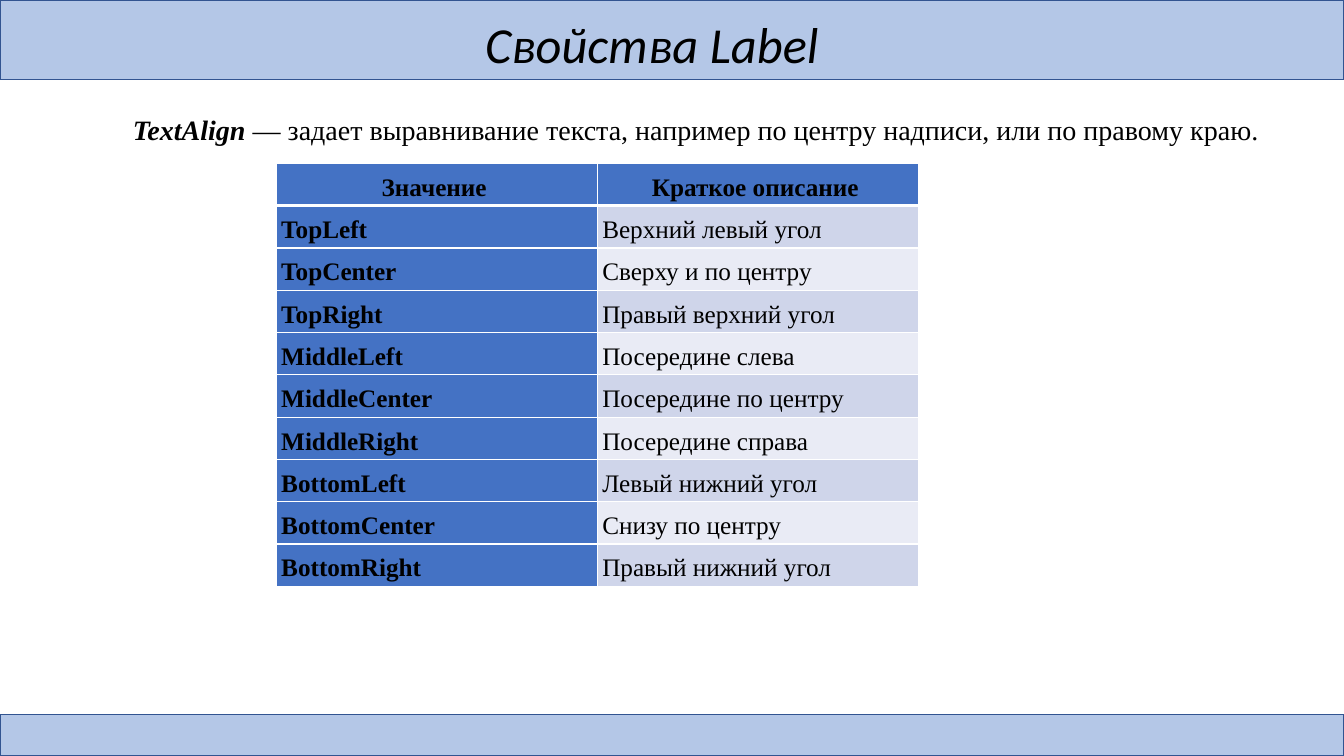
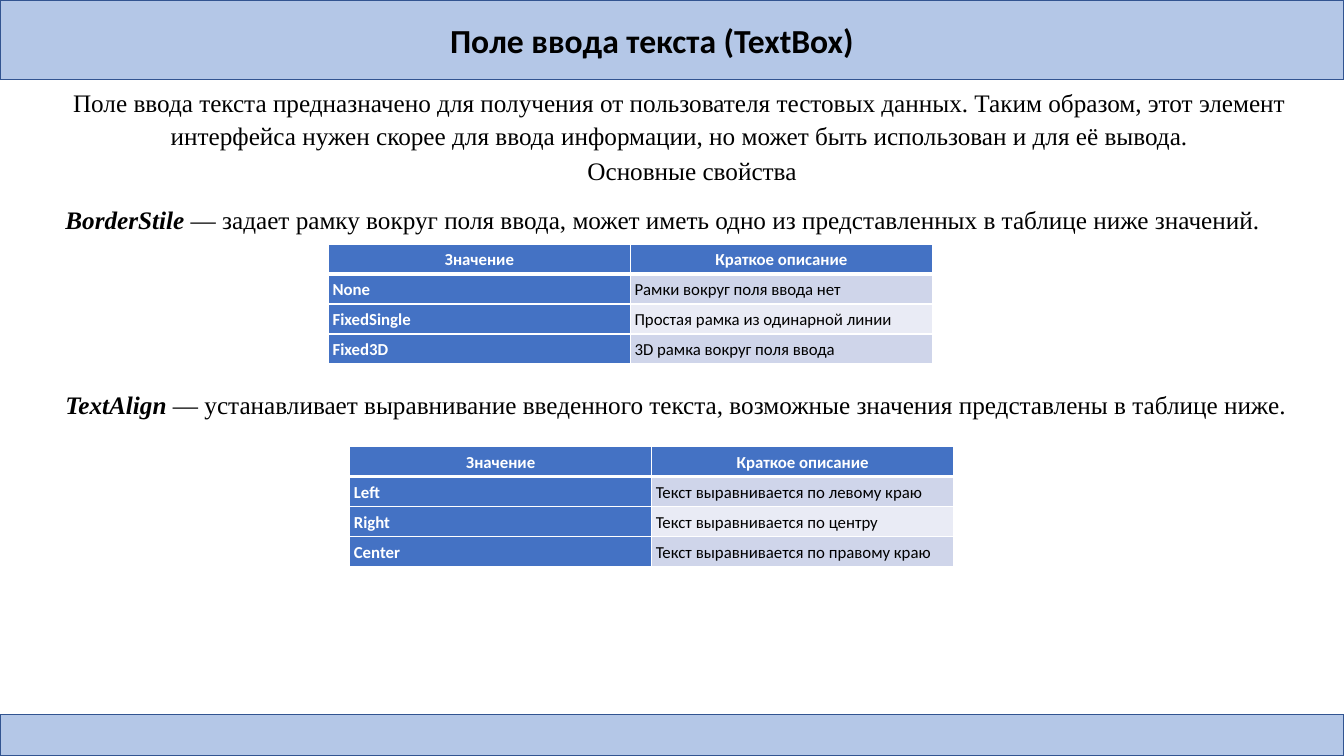
from dataclasses import dataclass

from lxml import etree
from pptx import Presentation
from pptx import util as u
from pptx.dml.color import RGBColor
from pptx.enum import shapes, text
from pptx.oxml import ns


@dataclass(frozen=True)
class Theme:
    # Colours
    band: str = "B4C7E7"
    band_line: str = "325491"
    header: str = "4472C4"
    stripes: tuple = ("CFD5EA", "E9EBF5")
    ink: str = "000000"
    paper: str = "FFFFFF"
    # Fonts and type sizes in points
    sans: str = "Calibri"
    serif: str = "Times New Roman"
    lead: int = 20
    body: int = 18
    small: int = 12
    # Line spacing, and cell insets in inches
    leading: float = 1.07
    wide_insets: tuple = (0.05, 0.04, 0.1, 0.04)
    tight_insets: tuple = (0.04, 0.04, 0.04, 0.04)


CENTER = text.PP_ALIGN.CENTER
LEFT = text.PP_ALIGN.LEFT


class Deck:
    """Places elements on the current slide; lengths are percent of its size."""

    def __init__(self, theme):
        self.theme = theme
        self.prs = Presentation()
        self.prs.slide_width, self.prs.slide_height = u.Inches(13.33), u.Inches(7.5)
        self.slide = None

    def box(self, left, top, width, height):
        across, down = self.prs.slide_width / 100, self.prs.slide_height / 100
        return [u.Emu(round(share * unit)) for share, unit in
                zip((left, top, width, height), (across, down, across, down))]

    def start(self):
        self.slide = self.prs.slides.add_slide(self.prs.slide_layouts[6])
        self.band(0, 10.53)
        self.band(94.53, 5.47)

    def band(self, top, height):
        band = self.slide.shapes.add_shape(
            shapes.MSO_SHAPE.RECTANGLE, *self.box(0, top, 100, height))
        band.shadow.inherit = False
        band.fill.solid()
        band.fill.fore_color.rgb = RGBColor.from_string(self.theme.band)
        band.line.color.rgb = RGBColor.from_string(self.theme.band_line)
        band.line.width = u.Pt(1)

    def style(self, paragraph, font, size, color=None, bold=None, italic=None,
              align=LEFT, leading=None):
        paragraph.alignment = align
        paragraph.line_spacing = leading
        face = paragraph.font
        face.name, face.size, face.bold, face.italic = font, u.Pt(size), bold, italic
        face.color.rgb = RGBColor.from_string(color or self.theme.ink)

    def frame(self, place, wrap=True):
        frame = self.slide.shapes.add_textbox(*self.box(*place)).text_frame
        frame.word_wrap = wrap
        return frame

    def title(self, words, size, top, height, width, **look):
        middle = 48.5
        frame = self.frame((middle - width / 2, top, width, height), wrap=False)
        heading = frame.paragraphs[0]
        heading.text = words
        self.style(heading, self.theme.sans, size, align=CENTER, **look)

    def plain(self, paragraph, words):
        paragraph.text = words
        self.style(paragraph, self.theme.serif, self.theme.body,
                   align=CENTER, leading=self.theme.leading)
        paragraph.space_after = u.Pt(12)

    def definition(self, paragraph, term, meaning, size, leading=None):
        self.style(paragraph, self.theme.serif, size, leading=leading)
        name = paragraph.add_run()
        name.text = term + "\u00a0"
        name.font.bold = name.font.italic = True
        paragraph.add_run().text = "— " + meaning

    def cell_borders(self, cell, top, bottom):
        props = cell._tc.get_or_add_tcPr()
        for side, points in zip("LRTB", (1, 1, top, bottom)):
            line = etree.SubElement(props, ns.qn("a:ln" + side), w=str(u.Pt(points)))
            fill = etree.SubElement(line, ns.qn("a:solidFill"))
            etree.SubElement(fill, ns.qn("a:srgbClr"), val=self.theme.paper)

    def values_table(self, left, top, width, row_height, values,
                     font, size, label_color, insets):
        theme = self.theme
        rows = [("Значение", "Краткое описание"), *values]
        table = self.slide.shapes.add_table(
            len(rows), 2, *self.box(left, top, width, row_height * len(rows))).table
        table.first_col = True
        for r, row in enumerate(rows):
            for c, words in enumerate(row):
                label = r == 0 or c == 0
                cell = table.cell(r, c)
                (cell.margin_left, cell.margin_top,
                 cell.margin_right, cell.margin_bottom) = map(u.Inches, insets)
                cell.vertical_anchor = text.MSO_ANCHOR.BOTTOM
                # A heavier rule parts the header from the values
                self.cell_borders(cell, 3 if r == 1 else 1, 3 if r == 0 else 1)
                cell.fill.solid()
                cell.fill.fore_color.rgb = RGBColor.from_string(
                    theme.header if label else theme.stripes[(r - 1) % 2])
                entry = cell.text_frame.paragraphs[0]
                entry.text = words
                self.style(entry, font, size, label_color if label else theme.ink,
                           bold=label, align=LEFT if r else CENTER,
                           leading=theme.leading)


theme = Theme()
deck = Deck(theme)

# Label properties
deck.start()
deck.title("Свойства Label", 36, 1.07, 9.47, 26.55, italic=True)
deck.definition(
    deck.frame((9.15, 14.27, 85.35, 5.87)).paragraphs[0], "TextAlign",
    "задает выравнивание текста, например по центру надписи, или по правому краю.",
    theme.lead)
deck.values_table(20.55, 21.6, 47.78, 5.6, [
    ("TopLeft", "Верхний левый угол"),
    ("TopCenter", "Сверху и по центру"),
    ("TopRight", "Правый верхний угол"),
    ("MiddleLeft", "Посередине слева"),
    ("MiddleCenter", "Посередине по центру"),
    ("MiddleRight", "Посередине справа"),
    ("BottomLeft", "Левый нижний угол"),
    ("BottomCenter", "Снизу\u00a0по центру"),
    ("BottomRight", "Правый нижний угол"),
], theme.serif, theme.body, theme.ink, theme.wide_insets)

# Text box and its main properties
deck.start()
deck.title("Поле ввода текста (TextBox)", 24, 2, 6.67, 31.73, bold=True)
deck.plain(
    deck.frame((2.18, 10.67, 96.75, 9.73)).paragraphs[0],
    "Поле ввода текста предназначено для получения от пользователя тестовых данных. "
    "Таким образом, этот элемент интерфейса\u00a0нужен\u00a0скорее для ввода "
    "информации, но может быть использован и для её вывода.")
properties = deck.frame((4.13, 19.6, 94.73, 40.4))
deck.plain(properties.paragraphs[0], "Основные свойства")
deck.definition(
    properties.add_paragraph(), "BorderStile",
    "задает рамку вокруг поля ввода, может иметь одно из представленных "
    "в таблице ниже значений.", theme.body, theme.leading)
alignment = properties.add_paragraph()
deck.definition(
    alignment, "TextAlign",
    "устанавливает выравнивание введенного текста, возможные значения "
    "представлены в таблице ниже.", theme.body)
alignment.space_before = u.Pt(110.7)  # room for the border table

border_values = [
    ("None", "Рамки вокруг поля ввода\u00a0нет"),
    ("FixedSingle", "Простая рамка из одинарной линии"),
    ("Fixed3D", "3D рамка вокруг\u00a0поля ввода"),
]
align_values = [
    ("Left", "Текст выравнивается по левому краю"),
    ("Right", "Текст выравнивается по центру"),
    ("Center", "Текст выравнивается по правому\u00a0краю"),
]
for left, top, values in ((24.45, 32.27, border_values), (26.03, 59.07, align_values)):
    deck.values_table(left, top, 44.93, 3.97, values,
                      theme.sans, theme.small, theme.paper, theme.tight_insets)

deck.prs.save("out.pptx")
